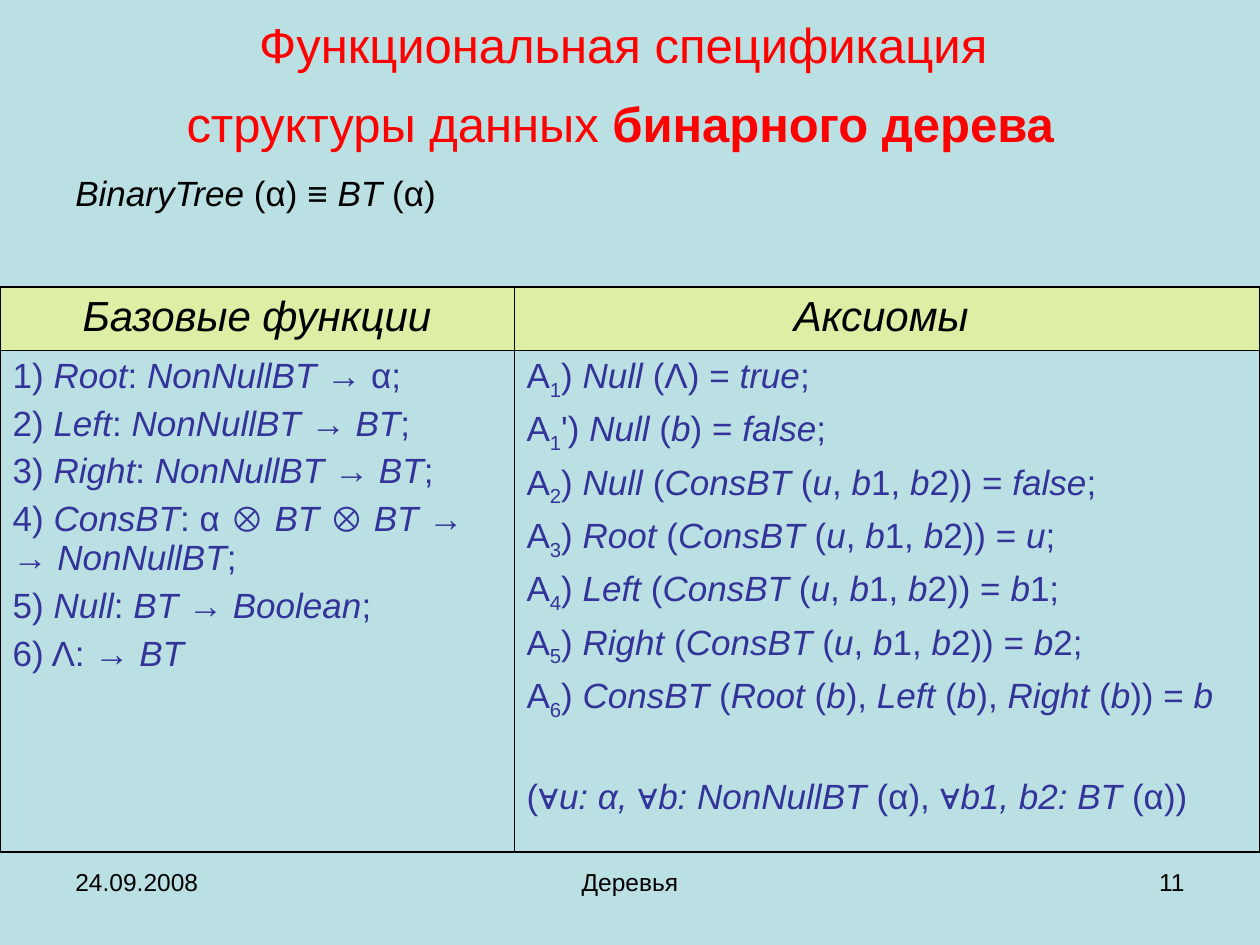
import dataclasses

import lxml.etree
import pptx
import pptx.dml.color
import pptx.enum.text
import pptx.oxml.ns
import pptx.util

Cm, Pt = pptx.util.Cm, pptx.util.Pt
ALIGN = pptx.enum.text.PP_ALIGN
LEFT, MID, RIGHT = ALIGN.LEFT, ALIGN.CENTER, ALIGN.RIGHT


@dataclasses.dataclass(frozen=True)
class Theme:
    font: str = "Arial"
    back: str = "BBE0E3"
    head: str = "FFFF66"
    title: str = "FF0000"
    text: str = "000000"
    rule: str = "333399"
    big: int = 28
    large: int = 24
    body: int = 20
    small: int = 14
    thick: float = 1.08
    thin: float = 0.45


THEME = Theme()

# In the marked text, * switches italics, # bold and ~ subscript
BASE = [
    "1) *Root*: *NonNullBT *→ α;",
    "2) *Left*: *NonNullBT *→ *BT*;",
    "3) *Right*: *NonNullBT *→ *BT*;",
    "4) *ConsBT*: α ⊗ *BT *⊗ *BT *→\v→ *NonNullBT*;",
    "5) *Null*: *BT *→ *Boolean*;",
    "6) Λ: → *BT*",
]
CONS = "(*ConsBT* (*u*, *b*1, *b*2)) = "
AXIOMS = [
    "A~1~) *Null* (Λ) = *true*;",
    "A~1~') *Null* (*b*) = *false*;",
    f"A~2~) *Null* {CONS}*false*;",
    f"A~3~) *Root* {CONS}*u*;",
    f"A~4~) *Left* {CONS}*b*1;",
    f"A~5~) *Right* {CONS}*b*2;",
    "A~6~) *ConsBT* (*Root* (*b*), *Left* (*b*), *Right* (*b*)) = *b*",
]
SCOPE = "(∀*u: α, *∀*b: NonNullBT *(α), ∀*b1, b2: BT *(α))"


def rgb(code):
    return pptx.dml.color.RGBColor.from_string(code)


def add_run(par, text, size, color, marks=()):
    run = par.add_run()
    run.text = text
    font = run.font
    font.name, font.size, font.color.rgb = THEME.font, Pt(size), rgb(color)
    font.italic, font.bold = "*" in marks, "#" in marks
    if "~" in marks:
        font._element.set("baseline", "-25000")


def add_text(par, marked, size, color, align=LEFT):
    par.alignment = align
    marks, part = set(), ""
    for char in marked + "\0":
        if char not in "*#~\v\0":
            part += char
            continue
        if part:
            add_run(par, part, size, color, marks)
            part = ""
        if char == "\v":
            par.add_line_break()
        else:
            marks ^= {char}


def add_lines(frame, lines, size, color, gap):
    for i, line in enumerate(lines):
        par = frame.add_paragraph() if i else frame.paragraphs[0]
        if i:
            par.space_before = Pt(gap)
        add_text(par, line, size, color)


def add_box(slide, box):
    frame = slide.shapes.add_textbox(*map(Cm, box)).text_frame
    frame.word_wrap = True
    return frame


def set_edges(cell, widths):
    props = cell._tc.get_or_add_tcPr()
    for side, width in zip("LRTB", widths):
        line = lxml.etree.SubElement(
            props, pptx.oxml.ns.qn(f"a:ln{side}"), w=str(Pt(width)))
        fill = lxml.etree.SubElement(line, pptx.oxml.ns.qn("a:solidFill"))
        lxml.etree.SubElement(
            fill, pptx.oxml.ns.qn("a:srgbClr"), val=THEME.text)


def add_title(slide, box):
    frame = add_box(slide, box)
    frame.vertical_anchor = pptx.enum.text.MSO_ANCHOR.MIDDLE
    par = frame.paragraphs[0]
    add_text(par, "Функциональная спецификация \vструктуры данных "
             "#бинарного дерева#", THEME.big, THEME.title, MID)
    # The larger closing space sets the height of the second line
    add_run(par, " ", 40, THEME.text)


def add_intro(slide, box):
    par = add_box(slide, box).paragraphs[0]
    add_text(par, "*BinaryTree *(α) ≡ *BT *(α)", THEME.body, THEME.text)


def add_grid(slide, box):
    table = slide.shapes.add_table(2, 2, *map(Cm, box)).table
    table.first_row = table.horz_banding = False
    x, y, wide, high = box
    first, top = 10.36, 1.27
    for col, width in zip(table.columns, (first, wide - first)):
        col.width = Cm(width)
    for row, height in zip(table.rows, (top, high - top)):
        row.height = Cm(height)

    # Outer edges are thick, inner ones thin
    thick, thin = THEME.thick, THEME.thin
    for r in range(2):
        for c in range(2):
            outer = (c == 0, c == 1, r == 0, r == 1)
            set_edges(table.cell(r, c), [thick if o else thin for o in outer])

    # Header row, half clear
    for c, name in enumerate(("*Базовые функции*", "*Аксиомы *")):
        cell = table.cell(0, c)
        cell.fill.solid()
        cell.fill.fore_color.rgb = rgb(THEME.head)
        tint = cell._tc.tcPr.find(
            pptx.oxml.ns.qn("a:solidFill") + "/" + pptx.oxml.ns.qn("a:srgbClr"))
        lxml.etree.SubElement(tint, pptx.oxml.ns.qn("a:alpha"), val="50000")
        add_text(cell.text_frame.paragraphs[0], name,
                 THEME.large, THEME.text, MID)

    # Functions and axioms
    for c, lines in enumerate((BASE, AXIOMS)):
        cell = table.cell(1, c)
        cell.fill.background()
        add_lines(cell.text_frame, lines, THEME.body, THEME.rule, 5)
    par = table.cell(1, 1).text_frame.add_paragraph()
    par.space_before = Pt(32)
    add_text(par, SCOPE, THEME.body, THEME.rule)


def add_foot(slide, box):
    x, y, wide, high = box
    parts = (("24.09.2008", 5.93, LEFT), ("Деревья", 8.05, MID),
             ("11", 5.93, RIGHT))
    for i, (text, width, align) in enumerate(parts):
        left = x + (wide - width) * i / 2
        par = add_box(slide, (left, y, width, high)).paragraphs[0]
        add_text(par, text, THEME.small, THEME.text, align)


def main():
    deck = pptx.Presentation()
    deck.slide_width, deck.slide_height = Cm(25.4), Cm(19.05)
    slide = deck.slides.add_slide(deck.slide_layouts[6])
    slide.background.fill.solid()
    slide.background.fill.fore_color.rgb = rgb(THEME.back)
    add_title(slide, (1.27, 0.76, 22.86, 1.93))
    add_intro(slide, (1.27, 3.33, 23.62, 1.7))
    add_grid(slide, (0, 5.79, 25.4, 11.38))
    add_foot(slide, (1.27, 17.35, 22.86, 1.32))
    deck.save("out.pptx")


if __name__ == "__main__":
    main()
